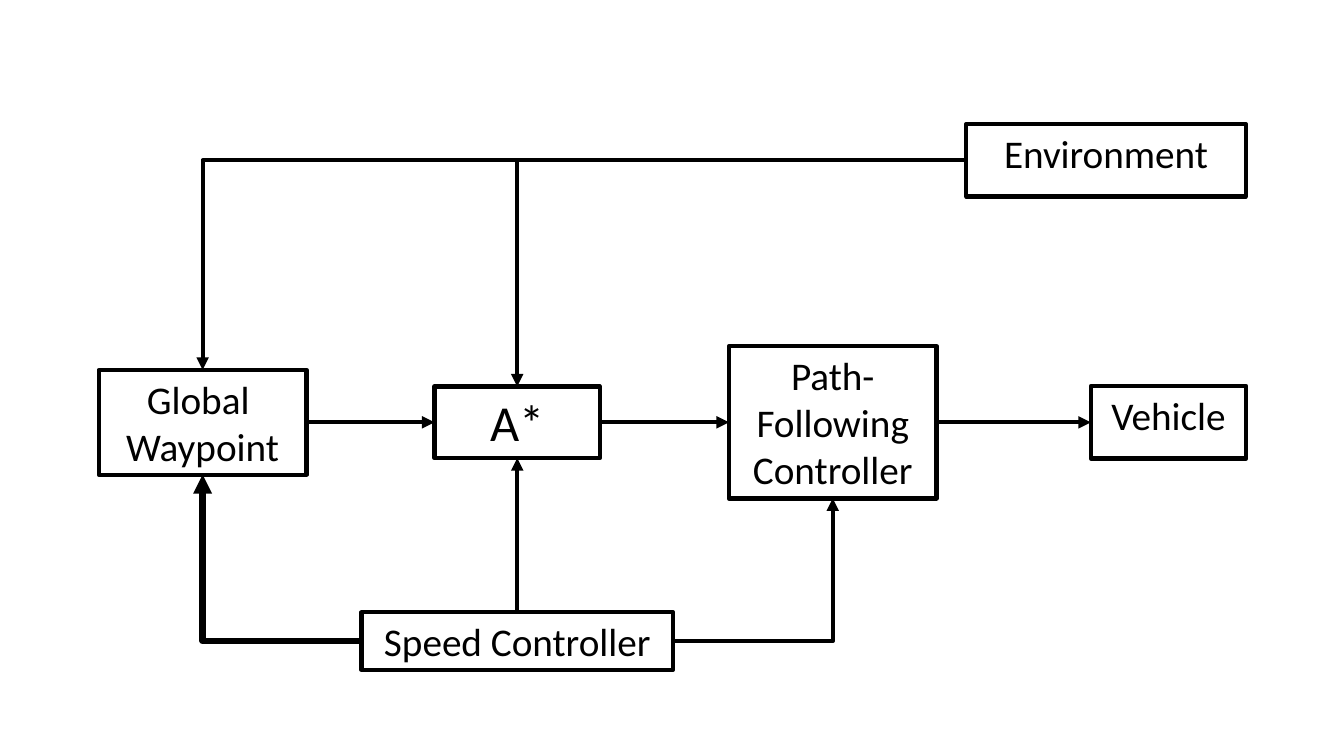
from lxml import etree
from pptx import Presentation
from pptx.dml.color import RGBColor
from pptx.enum.shapes import MSO_CONNECTOR, MSO_SHAPE
from pptx.enum.text import MSO_ANCHOR, PP_ALIGN
from pptx.oxml.ns import qn
from pptx.util import Inches, Pt

RECT = MSO_SHAPE.RECTANGLE
LINE = MSO_CONNECTOR.STRAIGHT
ELBOW = MSO_CONNECTOR.ELBOW
CENTER = PP_ALIGN.CENTER
TOP_TEXT = MSO_ANCHOR.TOP
BLACK = RGBColor(0, 0, 0)
FONT = "Calibri"

TOP, LEFT, BOTTOM, RIGHT = range(4)
COLS = {"goal": 2.01, "star": 5.13, "path": 8.26, "env": 10.97, "car": 11.59}
ROWS = {"upper": 1.59, "middle": 4.19, "lower": 6.36}

BOXES = {
    "goal": ("goal", "middle", 2.06, 1.04, ["Global ", "Waypoint"], 28),
    "star": ("star", "middle", 1.64, 0.71, ["A*"], 36),
    "path": ("path", "middle", 2.06, 1.51, ["Path-Following", "Controller"], 28),
    "car": ("car", "middle", 1.54, 0.72, ["Vehicle"], 28),
    "env": ("env", "upper", 2.77, 0.72, ["Environment"], 28),
    "speed": ("star", "lower", 3.09, 0.57, ["Speed Controller"], 28),
}

LINKS = [
    ("goal", RIGHT, "star", LEFT, LINE, 3),
    ("star", RIGHT, "path", LEFT, LINE, 3),
    ("path", RIGHT, "car", LEFT, LINE, 3),
    ("env", LEFT, "star", TOP, ELBOW, 3),
    ("env", LEFT, "goal", TOP, ELBOW, 3),
    ("speed", RIGHT, "path", BOTTOM, ELBOW, 3),
    ("speed", TOP, "star", BOTTOM, LINE, 3),
    ("speed", LEFT, "goal", BOTTOM, ELBOW, 4.5),
]


def write(frame, lines, size=28, color=BLACK, align=CENTER):
    frame.word_wrap = True
    frame.vertical_anchor = TOP_TEXT
    for i, line in enumerate(lines):
        para = frame.paragraphs[0] if i == 0 else frame.add_paragraph()
        para.alignment = align
        run = para.add_run()
        run.text = line
        run.font.name = FONT
        run.font.size = Pt(size)
        run.font.color.rgb = color


def add_box(slide, col, row, width, height, lines, size):
    left, top = COLS[col] - width / 2, ROWS[row] - height / 2
    box = slide.shapes.add_shape(
        RECT, Inches(left), Inches(top), Inches(width), Inches(height))
    box.shadow.inherit = False
    box.fill.background()
    box.line.color.rgb = BLACK
    box.line.width = Pt(3)
    write(box.text_frame, lines, size=size)
    return box


def add_link(slide, start, exit_side, end, entry_side, kind, weight):
    link = slide.shapes.add_connector(kind, 0, 0, 0, 0)
    link.begin_connect(start, exit_side)
    link.end_connect(end, entry_side)
    link.line.color.rgb = BLACK
    link.line.width = Pt(weight)
    props = link.element.spPr
    if kind == ELBOW:
        props.find(qn("a:prstGeom")).set("prst", "bentConnector2")
    etree.SubElement(props.find(qn("a:ln")), qn("a:tailEnd"), type="triangle")
    etree.SubElement(props, qn("a:effectLst"))


def main():
    deck = Presentation()
    deck.slide_width, deck.slide_height = Inches(13.33), Inches(7.5)
    slide = deck.slides.add_slide(deck.slide_layouts[6])
    boxes = {name: add_box(slide, *box) for name, box in BOXES.items()}
    for start, exit_side, end, entry_side, kind, weight in LINKS:
        add_link(slide, boxes[start], exit_side, boxes[end], entry_side,
                 kind, weight)
    deck.save("out.pptx")


if __name__ == "__main__":
    main()
